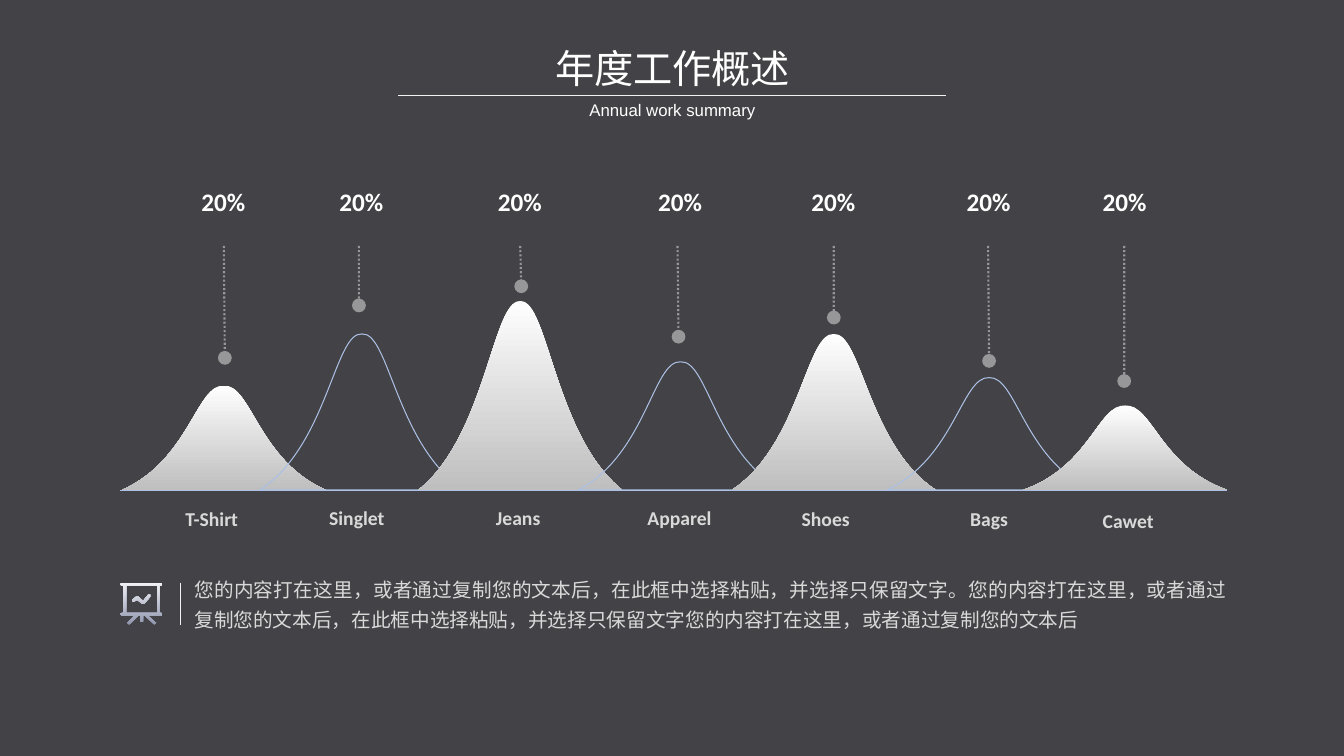
from lxml.etree import SubElement
from pptx import Presentation
from pptx.dml.color import RGBColor
from pptx.enum.dml import MSO_LINE
from pptx.enum.shapes import MSO_CONNECTOR, MSO_SHAPE
from pptx.enum.text import MSO_ANCHOR, PP_ALIGN
from pptx.oxml.ns import qn
from pptx.util import Inches, Pt

COLORS = {
    "background": "050409",
    "white": "FFFFFF",
    "text": "D9D9D9",
    "silver": "BFBFBF",
    "outline": "ABC0E4",
    "rule": "F2F2F2",
    "icon_bottom": "9096AE",
    "icon_top": "F1F1F5",
}
CJK_FONT = "Noto Sans CJK SC"
BASELINE = 4.86


def write_text(shape, text, size, font, color, bold=False, wrap=True, align=PP_ALIGN.CENTER):
    frame = shape.text_frame
    frame.text = text
    frame.word_wrap = wrap
    frame.vertical_anchor = MSO_ANCHOR.TOP
    paragraph = frame.paragraphs[0]
    paragraph.alignment = align
    paragraph.font.size = Pt(size)
    paragraph.font.bold = bold
    paragraph.font.name = font
    paragraph.font.color.rgb = RGBColor.from_string(COLORS[color])
    properties = paragraph._p.pPr.find(qn("a:defRPr"))
    SubElement(properties, qn("a:ea"), typeface=font)
    return paragraph


def add_line(x1, y1, x2, y2, color, width):
    connector = slide.shapes.add_connector(
        MSO_CONNECTOR.STRAIGHT, Inches(x1), Inches(y1), Inches(x2), Inches(y2))
    connector.line.color.rgb = RGBColor.from_string(COLORS[color])
    connector.line.width = Pt(width)
    SubElement(connector._element.spPr, qn("a:effectLst"))
    return connector


presentation = Presentation()
presentation.slide_width = Inches(13.33)
presentation.slide_height = Inches(7.5)
slide = presentation.slides.add_slide(presentation.slide_layouts[5])

backdrop = slide.shapes.add_shape(MSO_SHAPE.RECTANGLE, 0, 0, Inches(13.33), Inches(7.5))
backdrop.shadow.inherit = False
backdrop.fill.solid()
backdrop.fill.fore_color.rgb = RGBColor.from_string(COLORS["background"])
backdrop.line.fill.background()
SubElement(backdrop._element.spPr.find(".//" + qn("a:srgbClr")), qn("a:alpha"), val="75000")
slide.shapes.title._element.addprevious(backdrop._element)

title = slide.shapes.title
title.left, title.top, title.width, title.height = map(Inches, (5.39, 0.39, 2.56, 0.57))
write_text(title, "年度工作概述", 28, CJK_FONT, "white", wrap=False)
add_line(3.95, 0.95, 9.38, 0.95, "rule", 0.5)
subtitle = slide.shapes.add_textbox(Inches(5.74), Inches(0.94), Inches(1.86), Inches(0.3))
write_text(subtitle, "Annual work summary", 12, "Arial", "white", wrap=False)

products = [
    ("T-Shirt", 2.22, 3.81, (2.22, 2.23, 3.55), 2.10, 4.98),
    ("Singlet", 3.59, 3.29, (3.56, 3.56, 3.03), 3.54, 4.97),
    ("Jeans", 5.16, 2.96, (5.16, 5.17, 2.84), 5.14, 4.97),
    ("Apparel", 6.75, 3.57, (6.72, 6.73, 3.34), 6.74, 4.97),
    ("Shoes", 8.27, 3.29, (8.27, 8.27, 3.15), 8.19, 4.98),
    ("Bags", 9.81, 3.73, (9.80, 9.81, 3.58), 9.81, 4.98),
    ("Cawet", 11.16, 4.01, (11.15, 11.15, 3.78), 11.19, 5.00),
]

bell = [(1.01, 0), (0.34, 0.28), (0.27, 1), (0, 0.985), (-0.27, 1), (-0.34, 0.28), (-1.01, 0)]

outlines = []
for index, (name, centre, top, *_) in enumerate(products):
    points = [(centre + across, BASELINE - up * (BASELINE - top)) for across, up in bell]
    gradient = ("white", "silver", 270) if index % 2 == 0 else None
    outlines.append(([points], gradient, True))

easel = [
    (1.21, 5.78), (1.60, 5.78), (1.61, 5.80), (1.60, 5.81), (1.58, 5.81), (1.58, 6.08),
    (1.60, 6.08), (1.61, 6.09), (1.60, 6.11), (1.47, 6.11), (1.55, 6.18), (1.53, 6.20),
    (1.44, 6.11), (1.42, 6.11), (1.42, 6.17), (1.39, 6.17), (1.39, 6.11), (1.37, 6.11),
    (1.28, 6.20), (1.26, 6.18), (1.33, 6.11), (1.21, 6.11), (1.19, 6.09), (1.21, 6.08),
    (1.22, 6.08), (1.22, 5.81), (1.21, 5.81), (1.19, 5.80),
]
board = [(1.25, 5.81), (1.25, 6.08), (1.56, 6.08), (1.56, 5.81)]
trend = [
    (1.33, 5.97), (1.36, 5.95), (1.41, 5.99), (1.43, 5.99), (1.49, 5.92), (1.49, 5.90),
    (1.47, 5.90), (1.42, 5.96), (1.37, 5.92), (1.35, 5.92), (1.31, 5.95), (1.31, 5.97),
]
outlines.append(([easel, board, trend], ("icon_bottom", "icon_top", 90), False))

for contours, gradient, curved in outlines:
    contours = [[(Inches(x), Inches(y)) for x, y in contour] for contour in contours]
    builder = slide.shapes.build_freeform(*contours[0][0])
    builder.add_line_segments(contours[0][1:], close=True)
    for contour in contours[1:]:
        builder.move_to(*contour[0])
        builder.add_line_segments(contour[1:], close=True)
    shape = builder.convert_to_shape()
    shape.shadow.inherit = False
    if curved:
        segments = list(shape._element.iter(qn("a:lnTo")))
        for first, second, third in zip(segments[::3], segments[1::3], segments[2::3]):
            first.tag = qn("a:cubicBezTo")
            for segment in (second, third):
                first.append(segment[0])
                segment.getparent().remove(segment)
    if gradient:
        start, end, angle = gradient
        shape.fill.gradient()
        shape.fill.gradient_angle = angle
        for stop, color in zip(shape.fill.gradient_stops, (start, end)):
            stop.color.rgb = RGBColor.from_string(COLORS[color])
        shape.line.fill.background()
    else:
        shape.fill.background()
        shape.line.color.rgb = RGBColor.from_string(COLORS["outline"])
        shape.line.width = Pt(0.75)

for name, centre, top, (pin_start, pin_end, pin_bottom), label_centre, label_top in products:
    label = slide.shapes.add_textbox(
        Inches(label_centre - 0.78), Inches(label_top), Inches(1.56), Inches(0.34))
    write_text(label, name, 14, "Calibri", "text", bold=True)
    percent = slide.shapes.add_textbox(
        Inches(centre - 0.36), Inches(1.8), Inches(0.71), Inches(0.4))
    write_text(percent, "20%", 18, "Calibri", "white", bold=True)
    pin = add_line(pin_start, 2.44, pin_end, pin_bottom, "silver", 1.5)
    pin.line.dash_style = MSO_LINE.ROUND_DOT
    line = pin.line._get_or_add_ln()
    SubElement(line.find(".//" + qn("a:srgbClr")), qn("a:alpha"), val="67000")
    SubElement(line, qn("a:tailEnd"), type="oval", w="lg", len="lg")

add_line(1.19, 4.87, 12.17, 4.87, "outline", 0.75)

add_line(1.79, 5.78, 1.79, 6.2, "rule", 0.5)
description = slide.shapes.add_textbox(Inches(1.83), Inches(5.63), Inches(10.44), Inches(0.66))
paragraph = write_text(
    description,
    "您的内容打在这里，或者通过复制您的文本后，在此框中选择粘贴，并选择只保留文字。"
    "您的内容打在这里，或者通过复制您的文本后，在此框中选择粘贴，并选择只保留文字"
    "您的内容打在这里，或者通过复制您的文本后",
    14, CJK_FONT, "text", align=PP_ALIGN.JUSTIFY)
paragraph.line_spacing = 1.25

presentation.save("out.pptx")
